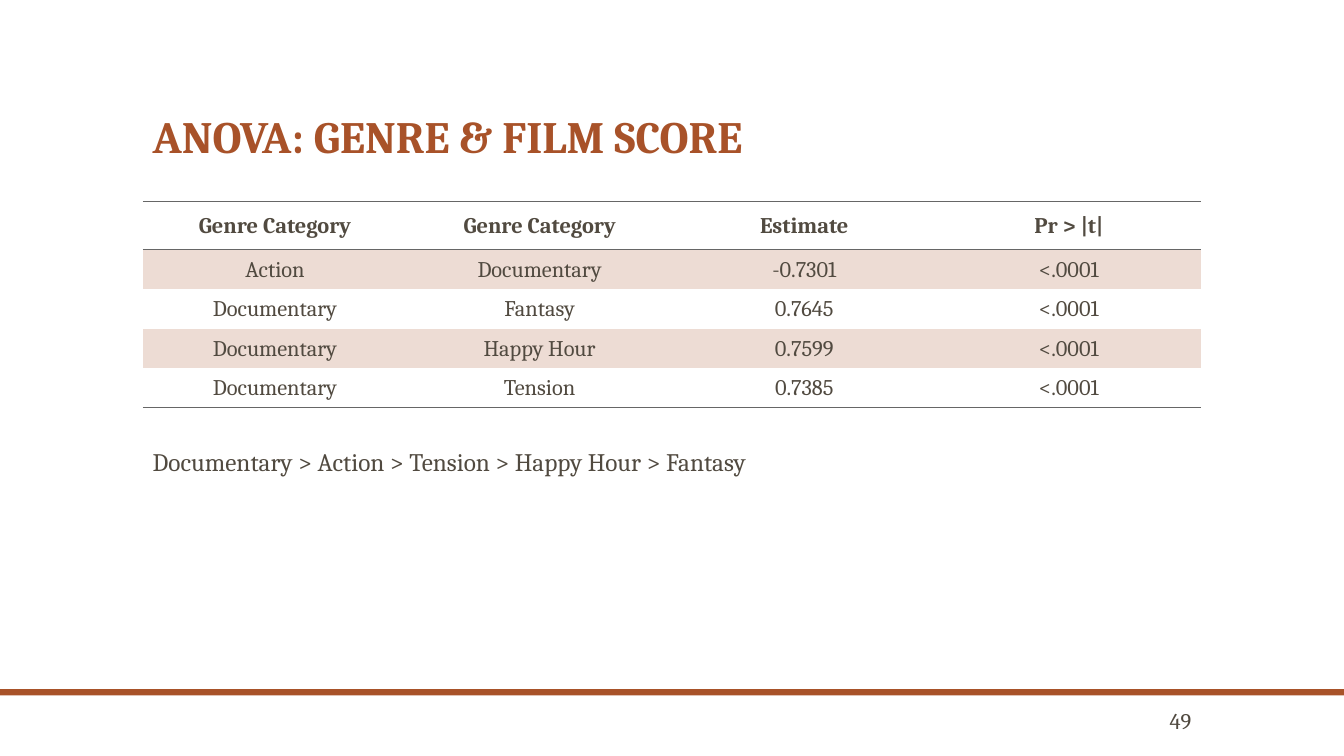
import lxml.etree
import pptx
import pptx.dml.color
import pptx.enum.shapes
import pptx.enum.text
import pptx.oxml.ns
import pptx.util

Pt = pptx.util.Pt
ALIGN = pptx.enum.text.PP_ALIGN
ANCHOR = pptx.enum.text.MSO_ANCHOR
COLORS = {"rust": "A85229", "text": "514A40", "band": "EDDCD4", "rule": "666666"}
FONT = "Cambria"
NO_GRID = "{2D5ABB26-0587-4C30-8999-92F81FD0307C}"
LEFT, WIDTH = 102, 756
ROWS = [
    ("Genre Category", "Genre Category", "Estimate", "Pr > |t|"),
    ("Action", "Documentary", "-0.7301", "<.0001"),
    ("Documentary", "Fantasy", "0.7645", "<.0001"),
    ("Documentary", "Happy Hour", "0.7599", "<.0001"),
    ("Documentary", "Tension", "0.7385", "<.0001"),
]


def color(name):
    return pptx.dml.color.RGBColor.from_string(COLORS[name])


def write(frame, text, size=16, tint="text", bold=False, align=ALIGN.LEFT, space=1.0):
    para = frame.paragraphs[0]
    para.text = text
    para.alignment = align
    para.line_spacing = space
    font = para.font
    font.name, font.size, font.bold = FONT, Pt(size), bold
    font.color.rgb = color(tint)


def label(slide, text, box, anchor=ANCHOR.TOP, wrap=True, **style):
    frame = slide.shapes.add_textbox(*map(Pt, box)).text_frame
    frame.word_wrap = wrap
    frame.vertical_anchor = anchor
    write(frame, text, **style)


def bar(slide, box):
    shape = slide.shapes.add_shape(
        pptx.enum.shapes.MSO_SHAPE.RECTANGLE, *map(Pt, box))
    shape.shadow.inherit = False
    shape.fill.solid()
    shape.fill.fore_color.rgb = color("rust")
    shape.line.fill.background()


def edge(cell, sides):
    """Draw a thin rule on the given sides of a cell, T before B."""
    qn = pptx.oxml.ns.qn
    props = cell._tc.get_or_add_tcPr()
    for side in sides:
        line = lxml.etree.SubElement(props, qn("a:ln" + side), w=str(Pt(1)))
        fill = lxml.etree.SubElement(line, qn("a:solidFill"))
        lxml.etree.SubElement(fill, qn("a:srgbClr"), val=COLORS["rule"])


def grid(slide, top, head, row):
    """Add the results table with a header rule and shaded odd rows."""
    last = len(ROWS) - 1
    count = len(ROWS[0])
    table = slide.shapes.add_table(
        len(ROWS), count, Pt(LEFT), Pt(top), Pt(WIDTH), Pt(head + last * row)).table
    table._tbl.tblPr[0].text = NO_GRID
    for col in table.columns:
        col.width = Pt(WIDTH / count)
    for r, values in enumerate(ROWS):
        table.rows[r].height = Pt(row if r else head)
        for c, value in enumerate(values):
            cell = table.cell(r, c)
            cell.margin_left = cell.margin_right = cell.margin_top = Pt(0.75)
            cell.margin_bottom = 0
            cell.vertical_anchor = ANCHOR.MIDDLE
            edge(cell, {0: "TB", last: "B"}.get(r, ""))
            if r % 2:
                cell.fill.solid()
                cell.fill.fore_color.rgb = color("band")
            else:
                cell.fill.background()
            write(cell.text_frame, value, bold=r == 0, align=ALIGN.CENTER)


def main():
    deck = pptx.Presentation()
    deck.slide_width, deck.slide_height = Pt(960), Pt(540)
    slide = deck.slides.add_slide(deck.slide_layouts[6])
    bar(slide, (0, 492.3, 960, 4.5))
    label(slide, "ANOVA: GENRE & FILM SCORE", (LEFT, 30, WIDTH, 90),
          anchor=ANCHOR.BOTTOM, size=32, tint="rust", bold=True, space=0.9)
    grid(slide, top=144, head=34.2, row=28.3)
    label(slide, "Documentary > Action > Tension > Happy Hour > Fantasy",
          (LEFT, 315.5, 458, 29), wrap=False, size=18)
    label(slide, "49", (803, 505.5, 55, 19), anchor=ANCHOR.MIDDLE, align=ALIGN.RIGHT)
    deck.save("out.pptx")


if __name__ == "__main__":
    main()
